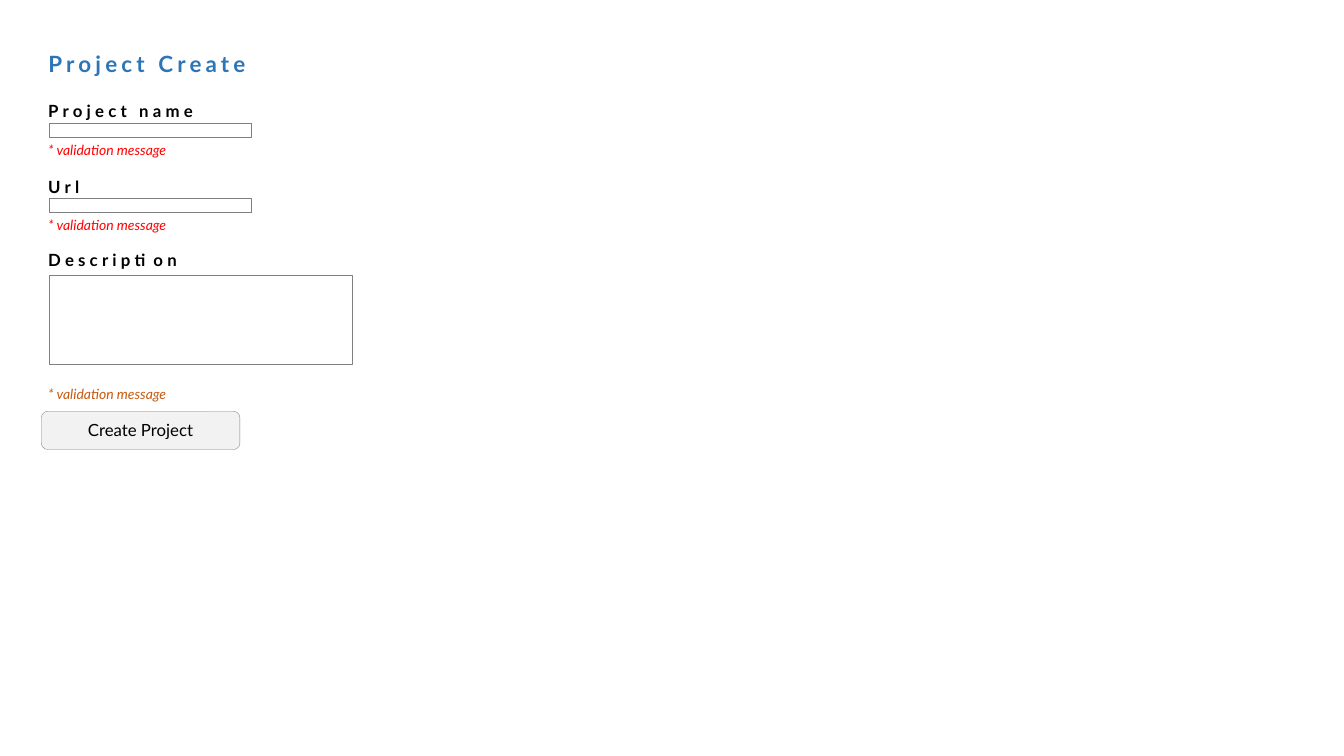
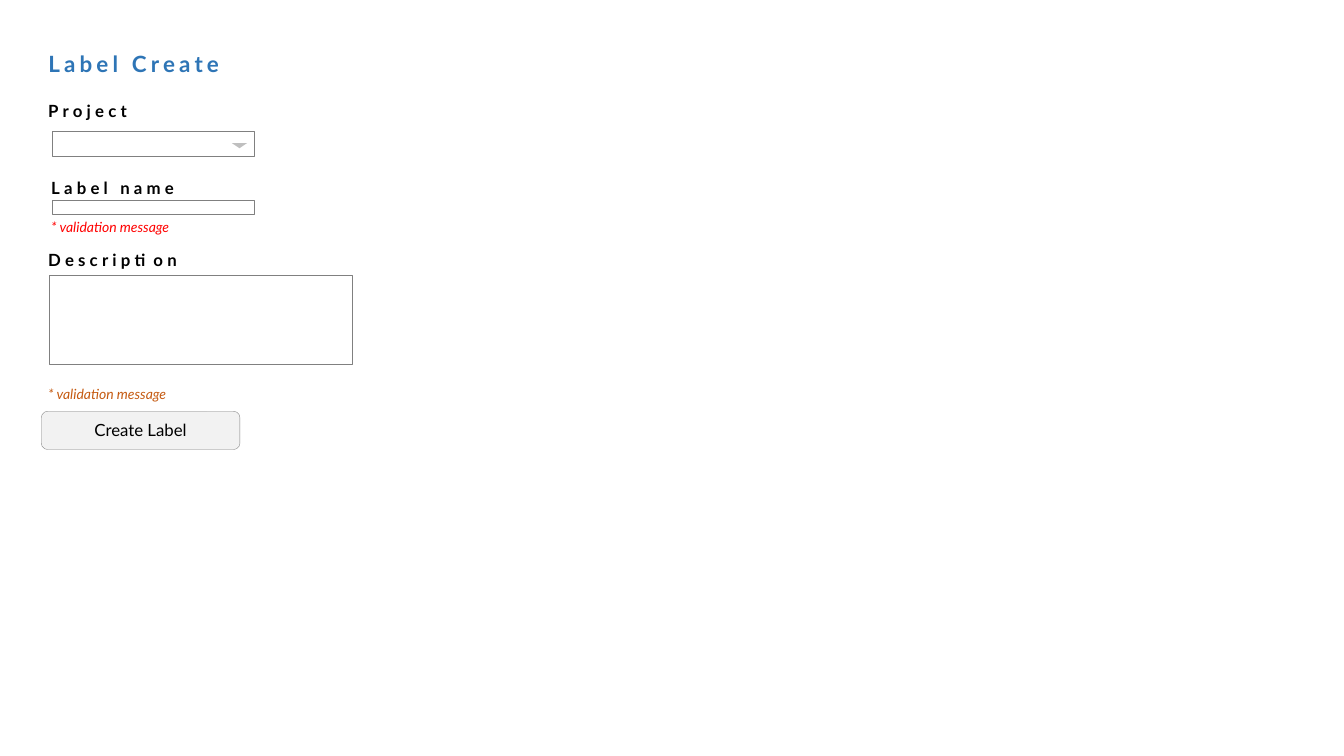
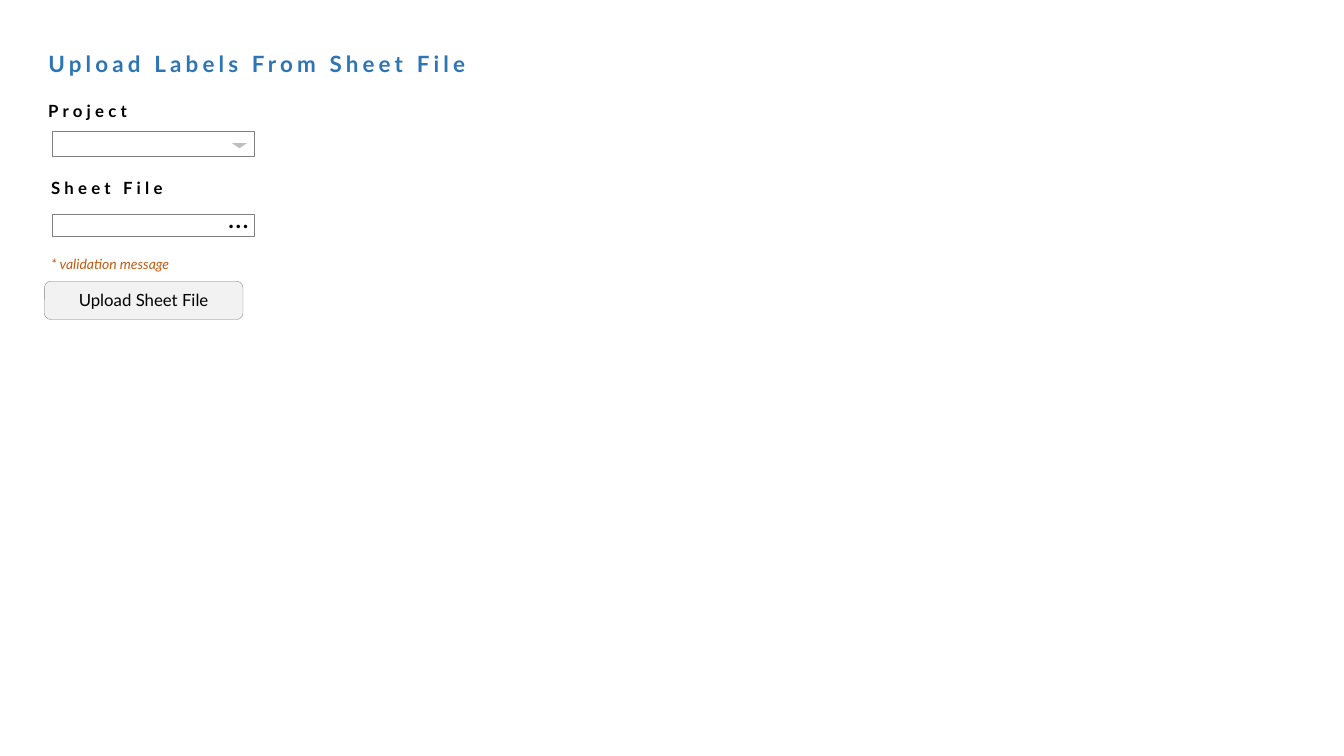
from dataclasses import dataclass

from pptx import Presentation
from pptx.dml.color import RGBColor
from pptx.enum.shapes import MSO_SHAPE
from pptx.enum.text import MSO_ANCHOR, MSO_AUTO_SIZE, PP_ALIGN
from pptx.util import Inches, Pt


@dataclass(frozen=True)
class Style:
    size: int
    color: str
    bold: bool = False
    italic: bool = False
    track: int = 0


@dataclass(frozen=True)
class Theme:
    font: str = "Lato"
    title: Style = Style(16, "2E75B6", bold=True, track=3)
    label: Style = Style(12, "000000", bold=True, track=3)
    error: Style = Style(10, "FF0000", italic=True)
    hint: Style = Style(10, "C55A11", italic=True)
    button: Style = Style(12, "000000")
    dots: Style = Style(20, "000000")
    paper: str = "FFFFFF"
    face: str = "F2F2F2"
    edge: str = "808080"
    arrow: str = "BFBFBF"
    rule: float = 0.25


THEME = Theme()
WIDE, HIGH = 13.33, 7.5
LEFT = 0.49
INSET = LEFT + 0.03
PAD = 0.11
FIELD = 2
TEXT = 3
NOTE = "* validation message"
PADS = (0.1, 0.02, 0.1, 0.03)


def place(shape, x, y, w, h):
    shape.left, shape.top = Inches(x), Inches(y)
    shape.width, shape.height = Inches(w), Inches(h)


def write(shape, text, style, align=PP_ALIGN.LEFT, anchor=MSO_ANCHOR.MIDDLE,
          pads=PADS, wrap=True, fit=MSO_AUTO_SIZE.NONE):
    frame = shape.text_frame
    frame.word_wrap = wrap
    frame.auto_size = fit
    frame.vertical_anchor = anchor
    (frame.margin_left, frame.margin_top,
     frame.margin_right, frame.margin_bottom) = map(Inches, pads)
    para = frame.paragraphs[0]
    para.alignment = align
    run = para.add_run()
    run.text = text
    font = run.font
    font.name = THEME.font
    font.size = Pt(style.size)
    font.bold = style.bold
    font.italic = style.italic
    font.color.rgb = RGBColor.from_string(style.color)
    if style.track:
        font._element.set("spc", str(style.track * 100))


def draw(shapes, kind, x, y, w, h, fill, line=THEME.edge):
    shape = shapes.add_shape(kind, *map(Inches, (x, y, w, h)))
    shape.shadow.inherit = False
    shape.fill.solid()
    shape.fill.fore_color.rgb = RGBColor.from_string(fill)
    if line:
        shape.line.color.rgb = RGBColor.from_string(line)
        shape.line.width = Pt(THEME.rule)
    else:
        shape.line.fill.background()
    return shape


def caption(slide, x, y, text, style, h):
    box = slide.shapes.add_textbox(*map(Inches, (x - PAD, y, TEXT, h)))
    write(box, text, style, fit=MSO_AUTO_SIZE.SHAPE_TO_FIT_TEXT)


def label(slide, x, y, text):
    caption(slide, x, y, text, THEME.label, 0.25)


def note(slide, x, y, style):
    caption(slide, x, y, NOTE, style, 0.22)


def box(shapes, x, y, w, h):
    return draw(shapes, MSO_SHAPE.RECTANGLE, x, y, w, h, THEME.paper)


def entry(slide, x, y, text, gap=0.24):
    label(slide, x, y, text)
    box(slide.shapes, x, y + gap, FIELD, 0.14)
    note(slide, x, y + gap + 0.16, THEME.error)


def picker(slide, text):
    label(slide, LEFT, 0.98, text)
    group = slide.shapes.add_group_shape()
    box(group.shapes, INSET, 1.3, FIELD, 0.25)
    arrow = draw(group.shapes, MSO_SHAPE.ISOSCELES_TRIANGLE,
                 INSET + FIELD - 0.22, 1.42, 0.15, 0.05, THEME.arrow, None)
    arrow.rotation = 180


def browse(slide, x, y, text):
    label(slide, x, y, text)
    field = box(slide.shapes, x, y + 0.38, FIELD, 0.22)
    write(field, "…", THEME.dots, PP_ALIGN.RIGHT, MSO_ANCHOR.BOTTOM,
          (0.05, 0.02, 0.05, 0.02), wrap=False)


def area(slide, text):
    label(slide, LEFT, 2.46, text)
    box(slide.shapes, LEFT, 2.73, 3, 0.88)


def submit(slide, x, y, text):
    note(slide, x, y, THEME.hint)
    key = draw(slide.shapes, MSO_SHAPE.ROUNDED_RECTANGLE,
               x - 0.08, y + 0.28, 1.97, 0.38, THEME.face)
    write(key, text, THEME.button, PP_ALIGN.CENTER, pads=(0.1, 0, 0.1, 0.01))


def page(deck, text, w=TEXT):
    slide = deck.slides.add_slide(deck.slide_layouts.get_by_name("Title Only"))
    title = slide.shapes.title
    place(title, LEFT - PAD, 0.48, w, 0.32)
    write(title, text, THEME.title)
    return slide


def project(deck):
    slide = page(deck, "Project Create")
    entry(slide, LEFT, 0.98, "Project name")
    entry(slide, LEFT, 1.73, "Url")
    area(slide, "Description")
    submit(slide, LEFT, 3.8, "Create Project")


def tag(deck):
    slide = page(deck, "Label Create")
    picker(slide, "Project")
    entry(slide, INSET, 1.74, "Label name", gap=0.25)
    area(slide, "Description")
    submit(slide, LEFT, 3.8, "Create Label")


def upload(deck):
    slide = page(deck, "Upload Labels From Sheet File", 8.4)
    picker(slide, "Project")
    browse(slide, INSET, 1.74, "Sheet File")
    submit(slide, INSET, 2.51, "Upload Sheet File")


def main():
    deck = Presentation()
    deck.slide_width, deck.slide_height = Inches(WIDE), Inches(HIGH)
    for build in (project, tag, upload):
        build(deck)
    deck.save("out.pptx")


if __name__ == "__main__":
    main()
